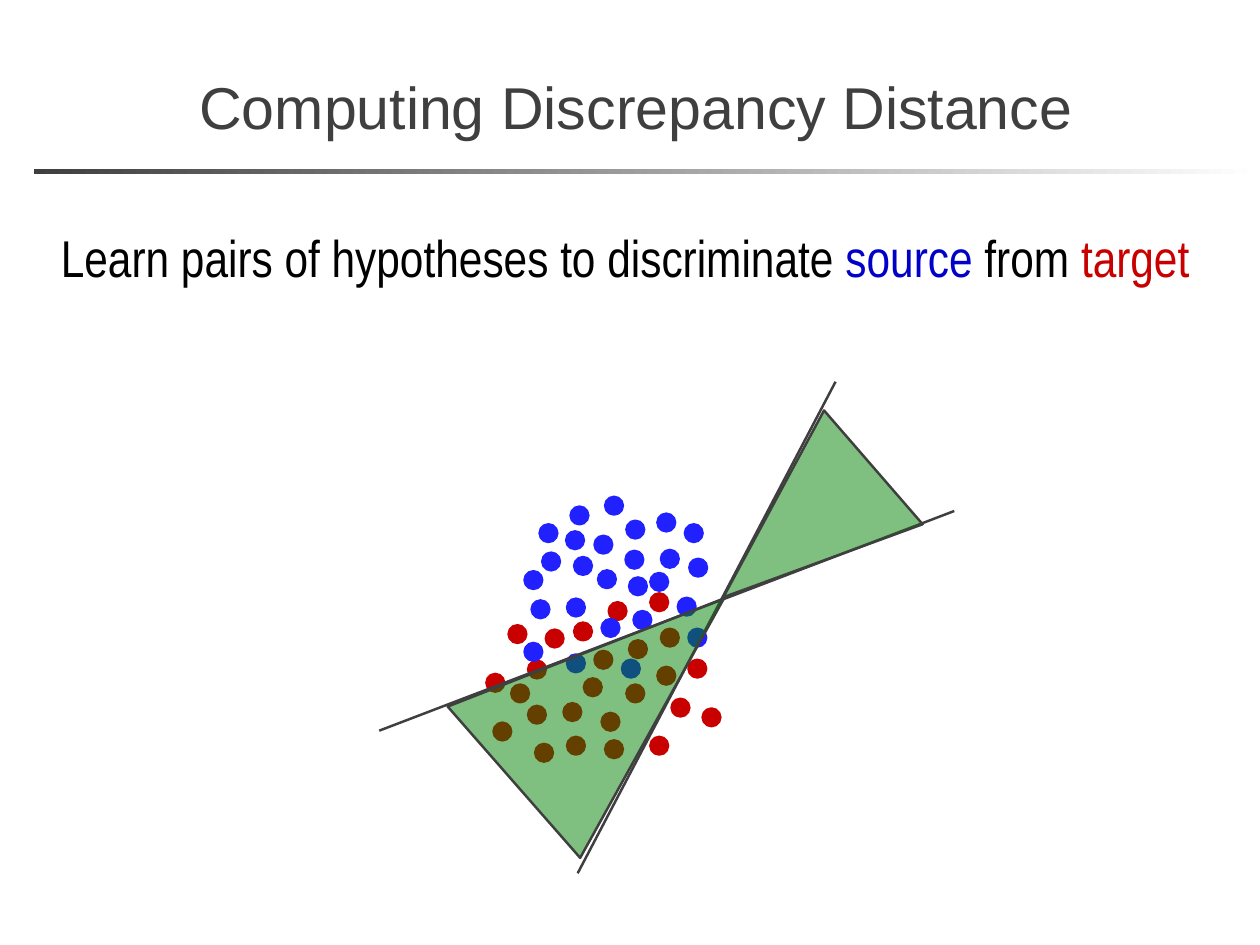
from pptx import Presentation
from pptx.dml.color import RGBColor
from pptx.enum.shapes import MSO_CONNECTOR as CONNECTOR, MSO_SHAPE as SHAPE
from pptx.enum.text import MSO_ANCHOR as ANCHOR, PP_ALIGN as ALIGN
from pptx.oxml.ns import qn
from pptx.util import Pt
from lxml.etree import SubElement

PX = 9144
DOT = 20
COLORS = {
    "ink": "3F3F3F",
    "paper": "FFFFFF",
    "text": "000000",
    "source_word": "0000C8",
    "source": "2121FF",
    "target": "C80000",
    "region": "008000",
}
TARGET_DOTS = [
    (243, 304), (279, 342), (231, 335), (208, 363), (282, 292),
    (188, 280), (168, 315), (259, 249), (220, 272), (330, 358),
    (306, 401), (255, 405), (176, 409), (168, 366), (251, 374),
    (314, 322), (365, 369), (349, 314), (318, 279), (306, 239),
    (212, 401), (121, 330), (129, 385), (146, 275), (149, 342),
]
SOURCE_DOTS = [
    (212, 308), (243, 174), (278, 191), (220, 198), (318, 190),
    (247, 213), (282, 221), (212, 245), (251, 268), (164, 214),
    (181, 161), (172, 247), (184, 193), (164, 295), (274, 314),
    (287, 259), (337, 244), (306, 216), (314, 149), (279, 157),
    (216, 141), (255, 130), (211, 169), (345, 161), (350, 200),
    (349, 279),
]
HYPOTHESES = [((0, 394), (649, 146)), ((224, 555), (515, 0))]
REGIONS = [((157, 191, 227, 315), 48.8), ((388, 58, 170, 224), 229.1)]


def color(name):
    return RGBColor.from_string(COLORS[name])


def emu(*lengths):
    return [length * PX for length in lengths]


def add_filled(slide, preset, box, fill, line):
    shape = slide.shapes.add_shape(preset, *emu(*box))
    shape.shadow.inherit = False
    shape.fill.solid()
    shape.fill.fore_color.rgb = color(fill)
    shape.line.color.rgb = color(line)
    shape.line.width = Pt(2)
    return shape


def add_text(slide, box, words, size, font, align):
    frame = slide.shapes.add_textbox(*emu(*box)).text_frame
    frame.word_wrap = True
    paragraph = frame.paragraphs[0]
    paragraph.alignment = align
    paragraph.font.size = Pt(size)
    paragraph.font.name = font
    for text, name in words:
        run = paragraph.add_run()
        run.text = text
        run.font.color.rgb = color(name)
    return frame


def add_header(slide, left, top, width, height):
    rule = slide.shapes.add_shape(
        SHAPE.RECTANGLE, *emu(left, top + height, width, 5))
    rule.shadow.inherit = False
    rule.line.fill.background()
    rule.fill.gradient()
    rule.fill.gradient_angle = 0
    for stop, name in zip(rule.fill.gradient_stops, ("ink", "paper")):
        stop.color.rgb = color(name)
    title = add_text(slide, (left + 173, top, 1117, height),
                     [("Computing Discrepancy Distance", "ink")],
                     48, "Arial", ALIGN.LEFT)
    title.vertical_anchor = ANCHOR.MIDDLE
    title.margin_left, title.margin_right = emu(14, 14)
    title.margin_top, title.margin_bottom = emu(7, 7)


def add_statement(slide, *box):
    words = [
        ("Learn pairs of hypotheses to discriminate ", "text"),
        ("source", "source_word"),
        (" from ", "text"),
        ("target", "target"),
    ]
    add_text(slide, box, words, 42, "Arial Narrow", ALIGN.CENTER)


def add_scatter(slide, left, top):
    for dots, name in ((TARGET_DOTS, "target"), (SOURCE_DOTS, "source")):
        for x, y in dots:
            add_filled(slide, SHAPE.OVAL, (left + x, top + y, DOT, DOT),
                       name, name)
    for (x1, y1), (x2, y2) in HYPOTHESES:
        hypothesis = slide.shapes.add_connector(
            CONNECTOR.STRAIGHT,
            *emu(left + x1, top + y1, left + x2, top + y2))
        hypothesis.line.color.rgb = color("ink")
        hypothesis.line.width = Pt(2)
        SubElement(hypothesis._element.spPr, qn("a:effectLst"))
    for (x, y, width, height), angle in REGIONS:
        region = add_filled(slide, SHAPE.ISOSCELES_TRIANGLE,
                            (left + x, top + y, width, height),
                            "region", "ink")
        region.rotation = angle
        tint = region._element.spPr.find(qn("a:solidFill"))[0]
        SubElement(tint, qn("a:alpha")).set("val", "50000")


def main():
    deck = Presentation()
    deck.slide_width, deck.slide_height = emu(1422, 1067)
    slide = deck.slides.add_slide(deck.slide_layouts[6])
    add_header(slide, 38, 49, 1384, 142)
    add_scatter(slide, 428, 431)
    add_statement(slide, 46, 250, 1319, 81)
    deck.save("out.pptx")


if __name__ == "__main__":
    main()
